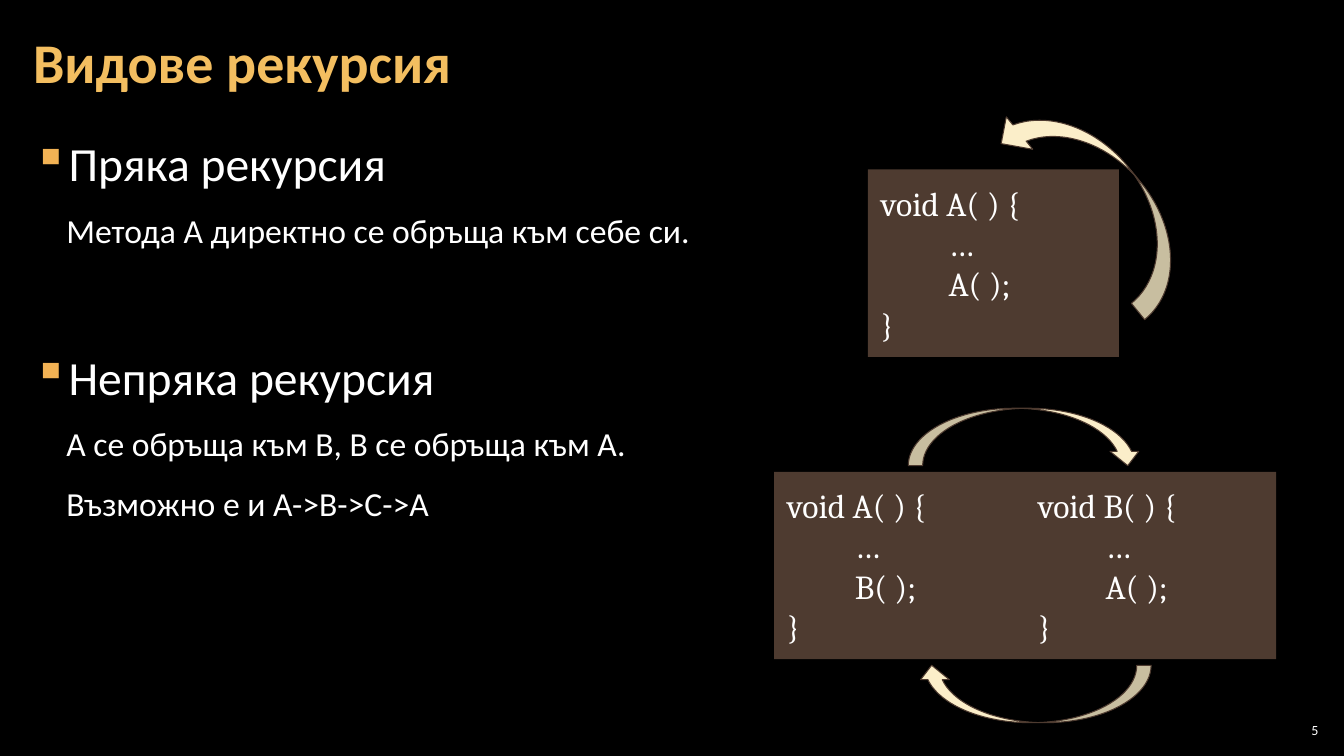
from dataclasses import dataclass
from lxml.etree import SubElement
from pptx import Presentation
from pptx.dml.color import RGBColor
from pptx.enum.shapes import MSO_SHAPE as Kind
from pptx.enum.text import MSO_ANCHOR as Anchor, PP_ALIGN as Align
from pptx.oxml.ns import qn
from pptx.util import Inches, Pt

WIDE, HIGH = Inches(13.33), Inches(7.5)
COLS, ROWS = 128, 72


@dataclass(frozen=True)
class Theme:
    back: str = "000000"
    text: str = "FFFFFF"
    gold: str = "F3BE60"
    mark: str = "F2B254"
    box: str = "4E3B30"
    cream: str = "FBEEC9"
    sans: str = "Calibri"
    serif: str = "Cambria"
    title: int = 40
    head: int = 34
    body: int = 24
    small: int = 10


T = Theme()


def rgb(code):
    return RGBColor.from_string(code)


def area(col, row, cols, rows):
    """Turn grid columns and rows into left, top, width, height."""
    x, y = WIDE / COLS, HIGH / ROWS
    return int(col * x), int(row * y), int(cols * x), int(rows * y)


def setup(frame, side, edge, anchor=Anchor.TOP):
    frame.word_wrap = True
    frame.vertical_anchor = anchor
    frame.margin_left = frame.margin_right = Inches(side)
    frame.margin_top = frame.margin_bottom = Inches(edge)


def line(frame, first):
    return frame.paragraphs[0] if first else frame.add_paragraph()


def write(para, text, size, font=T.sans, color=T.text, bold=False):
    run = para.add_run()
    run.text = text
    run.font.size, run.font.name, run.font.bold = Pt(size), font, bold
    run.font.color.rgb = rgb(color)


def indent(para, left, first):
    props = para._p.get_or_add_pPr()
    props.set("marL", str(Inches(left)))
    props.set("indent", str(Inches(first)))
    return props


def bullet(props):
    tint = SubElement(props, qn("a:buClr"))
    SubElement(tint, qn("a:srgbClr"), val=T.mark)
    SubElement(props, qn("a:buChar"), char="▪")


def heading(slide, text):
    shape = slide.shapes.title
    shape.left, shape.top, shape.width, shape.height = area(2, 0.4, 124, 11.6)
    setup(shape.text_frame, 0.12, 0.04, Anchor.MIDDLE)
    para = line(shape.text_frame, True)
    para.alignment, para.line_spacing = Align.LEFT, 0.9
    write(para, text, T.title, color=T.gold, bold=True)


def outline(slide, items):
    """Each item is text, is it a head, and space before in points."""
    frame = slide.shapes.add_textbox(*area(2, 12.1, 124, 58.5)).text_frame
    setup(frame, 0.12, 0.04)
    for pos, (text, head, gap) in enumerate(items):
        para = line(frame, pos == 0)
        para.line_spacing = 1.05
        para.space_before, para.space_after = Pt(gap), Pt(6)
        props = indent(para, 0.33, -0.33 if head else 0)
        if head:
            bullet(props)
        write(para, text, T.head if head else T.body)


def block(slide, col, row, name, call):
    """Draw the code of one method that calls another."""
    shape = slide.shapes.add_shape(Kind.RECTANGLE, *area(col, row, 23.9, 17.86))
    shape.shadow.inherit = False
    shape.fill.solid()
    shape.fill.fore_color.rgb = rgb(T.box)
    shape.line.fill.background()
    setup(shape.text_frame, 0.13, 0.13)
    code = [f"void {name}( ) {{", "…", f"{call}( );", "}"]
    for pos, text in enumerate(code):
        para = line(shape.text_frame, pos == 0)
        para.alignment = Align.LEFT
        indent(para, 0, 0.67 if pos in (1, 2) else 0)
        write(para, text, T.body, T.serif)


def arrow(slide, kind, place, turn=0):
    shape = slide.shapes.add_shape(kind, *area(*place))
    shape.shadow.inherit = False
    shape.rotation = turn
    shape.fill.solid()
    shape.fill.fore_color.rgb = rgb(T.cream)
    shape.line.color.rgb = rgb(T.box)
    shape.line.width = Pt(0.75)


def number(slide, text):
    frame = slide.shapes.add_textbox(*area(121.44, 68.54, 4.5, 2)).text_frame
    setup(frame, 0.04, 0.04, Anchor.MIDDLE)
    para = line(frame, True)
    para.alignment = Align.RIGHT
    write(para, text, T.small)


def main():
    deck = Presentation()
    deck.slide_width, deck.slide_height = WIDE, HIGH
    slide = deck.slides.add_slide(deck.slide_layouts[5])
    slide.background.fill.solid()
    slide.background.fill.fore_color.rgb = rgb(T.back)

    # Title and outline
    heading(slide, "Видове рекурсия")
    outline(slide, [
        ("Пряка рекурсия", True, 0),
        ("Метода А директно се обръща към себе си.", False, 6),
        ("Непряка рекурсия", True, 61.5),
        ("А се обръща към В, В се обръща към А.", False, 6),
        ("Възможно е и А->В->С->А", False, 6),
    ])

    # Direct recursion
    block(slide, 82.66, 16.13, "A", "A")
    arrow(slide, Kind.CURVED_UP_ARROW, (92.83, 14.78, 23.62, 7.97), 230.8)

    # Indirect recursion
    for pos, (name, call) in enumerate(["AB", "BA"]):
        block(slide, 73.73 + pos * 23.9, 44.93, name, call)
    for col, row, turn in [(86.5, 38.88, 0), (87.36, 63.36, 180)]:
        arrow(slide, Kind.CURVED_DOWN_ARROW, (col, row, 22.27, 5.47), turn)

    # Slide number
    number(slide, "5")
    deck.save("out.pptx")


if __name__ == "__main__":
    main()
